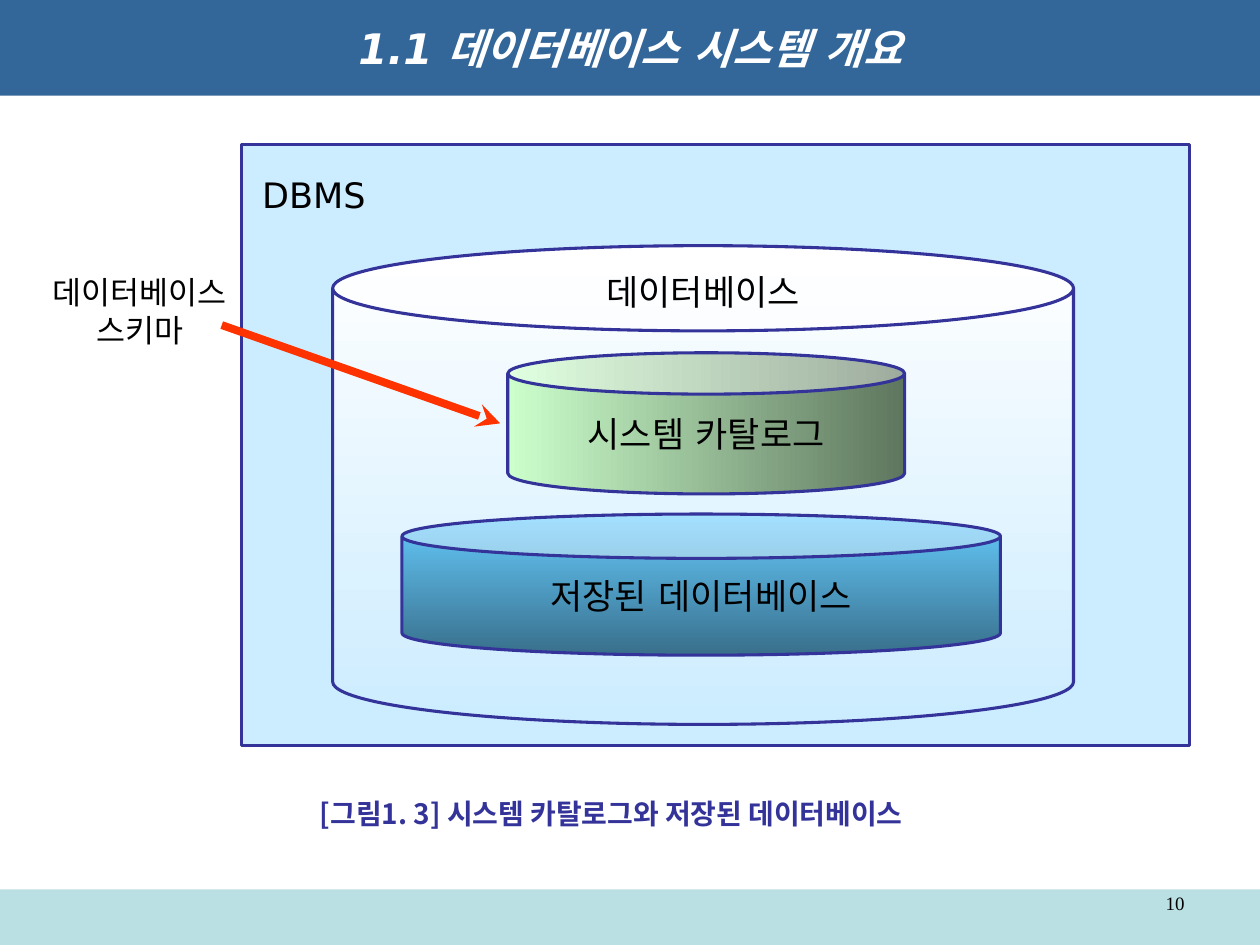
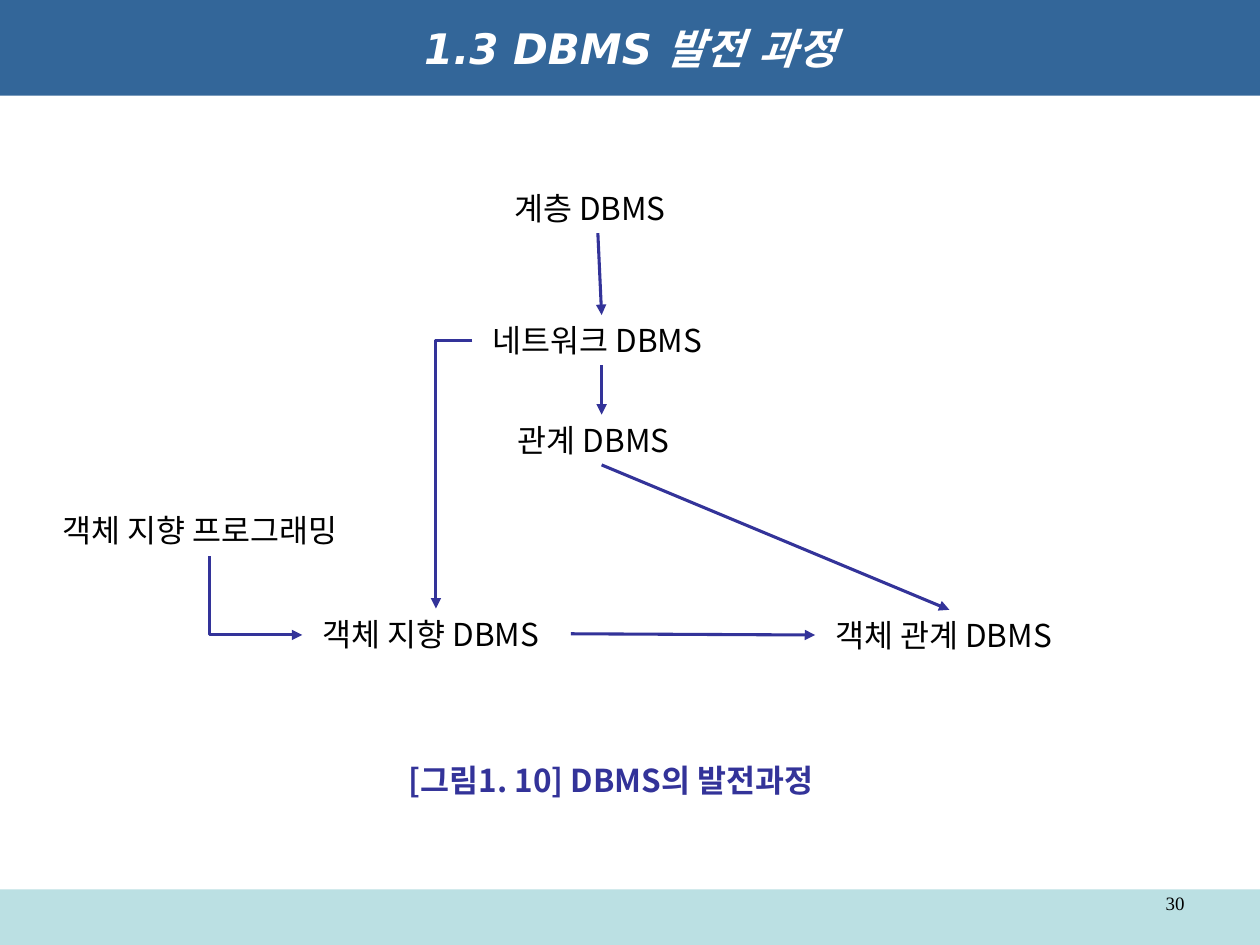
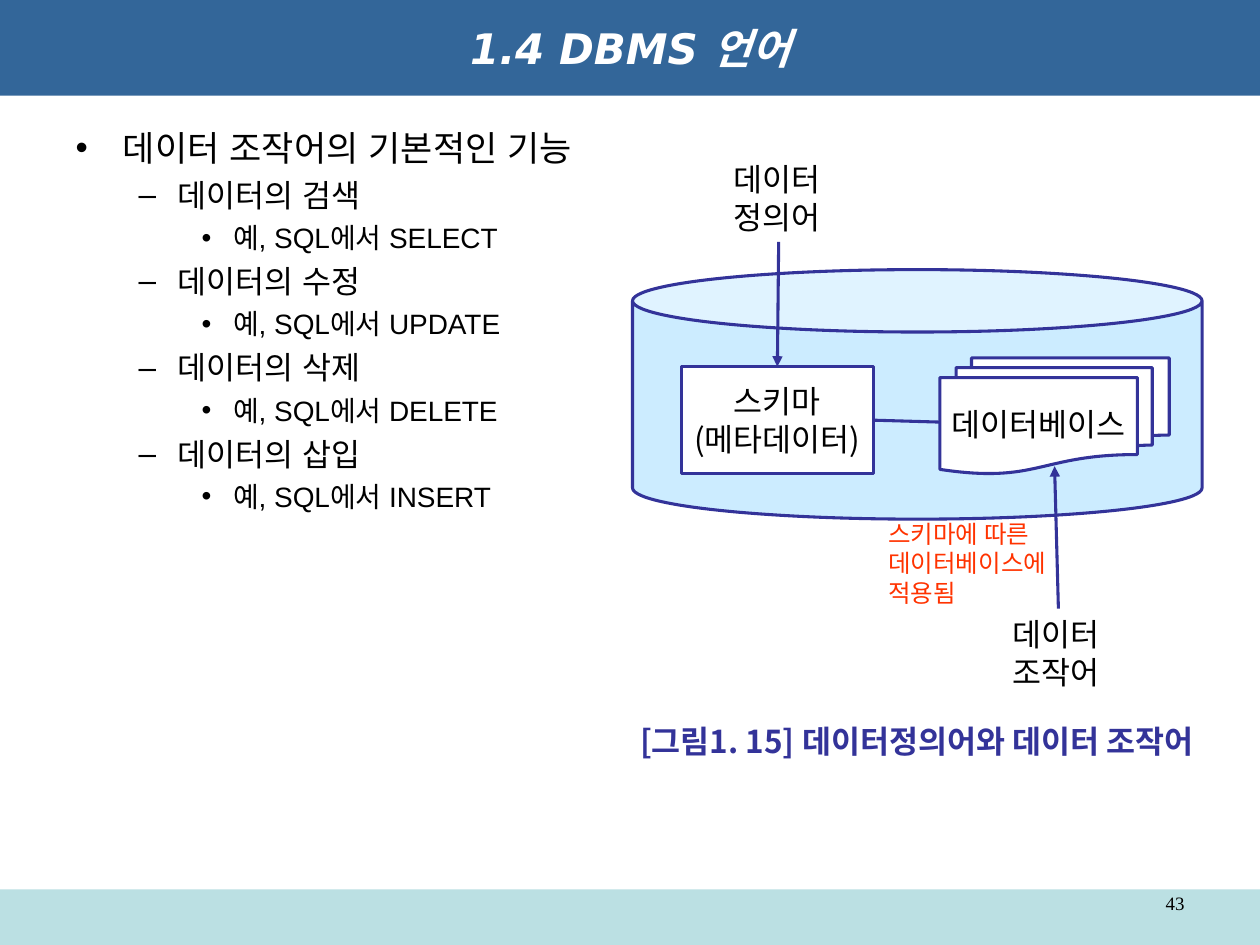
from lxml.etree import SubElement
from pptx import Presentation
from pptx.dml.color import RGBColor as Rgb
from pptx.enum.shapes import MSO_CONNECTOR as Link, MSO_SHAPE as Geo
from pptx.enum.text import MSO_ANCHOR as Anchor, MSO_AUTO_SIZE as Fit, PP_ALIGN as Align
from pptx.oxml.ns import qn
from pptx.util import Inches, Pt

HUES = {
    "text": "000000", "white": "FFFFFF", "title": "336699", "foot": "BBE0E3",
    "line": "333399", "pale": "CCECFF", "red": "FF3300",
    "mint": "CCFFCC", "moss": "5E765E", "sky": "66CCFF", "sea": "386F8B",
}
SANS, NOTO, BOLD = "DejaVu Sans", "Noto Sans CJK JP", "Noto Sans CJK KR"


def hue(name):
    return Rgb.from_string(HUES[name])


class Deck:
    """Holds the shared style and the current slide."""

    def __init__(self):
        self.prs = Presentation()
        self.prs.slide_width, self.prs.slide_height = Inches(10), Inches(7.5)
        self.slide = None

    def start(self, title, page, layout=5):
        first = self.slide is None
        self.slide = self.prs.slides.add_slide(self.prs.slide_layouts[layout])
        if first:
            self.foot()
        head = self.slide.shapes.title
        self.place(head, (0, 0, 10, 0.76))
        head.fill.solid()
        head.fill.fore_color.rgb = hue("title")
        frame = head.text_frame
        frame.auto_size, frame.vertical_anchor = Fit.NONE, Anchor.MIDDLE
        self.words(frame, [title], 24, SANS, "white", Align.CENTER, bold=True, italic=True)
        num = self.text((7.17, 7.06, 2.33, 0.29), [page], 10.8, "Times New Roman",
                        align=Align.RIGHT, pad=(0.1, 0.05), wrap=True)
        num.text_frame.paragraphs[0].line_spacing = 0.8

    def foot(self):
        """Put the bottom band on the slide master, behind everything."""
        band = self.shape(Geo.RECTANGLE, (0, 7.06, 10, 0.44), "foot", edge=False)
        band.element.nvSpPr.cNvPr.set("id", "20")
        self.prs.slide_master.shapes.element.insert(2, band.element)

    def place(self, shape, box):
        shape.left, shape.top, shape.width, shape.height = map(Inches, box)

    def style(self, run, size, font, color, bold=False, italic=False):
        face = run.font
        face.size, face.name, face.bold, face.italic = Pt(size), font, bold, italic
        face.color.rgb = hue(color)
        SubElement(face._element, qn("a:ea")).set("typeface", font)

    def words(self, frame, lines, size, font, color="text", align=Align.LEFT, **look):
        for i, line in enumerate(lines):
            para = frame.add_paragraph() if i else frame.paragraphs[0]
            para.alignment = align
            run = para.add_run()
            run.text = line
            self.style(run, size, font, color, **look)

    def inset(self, frame, pad, wrap):
        frame.margin_left = frame.margin_right = Inches(pad[0])
        frame.margin_top = frame.margin_bottom = Inches(pad[1])
        frame.word_wrap = wrap

    def text(self, box, lines, size=18, font=NOTO, color="text", align=Align.LEFT,
             pad=(0.16, 0.05), wrap=False, **look):
        item = self.slide.shapes.add_textbox(*map(Inches, box))
        self.inset(item.text_frame, pad, wrap)
        self.words(item.text_frame, lines, size, font, color, align, **look)
        return item

    def note(self, box, line, size=18, align=Align.CENTER):
        self.text(box, [line], size, BOLD, "line", align, (0.1, 0.05), True, bold=True)

    def shape(self, geo, box, fill, lines=(), size=18, font=NOTO, align=Align.CENTER,
              pad=(0.16, 0.05), anchor=Anchor.MIDDLE, wrap=False, edge=True, bend=None, turn=0):
        """A pair of fill names makes a gradient."""
        item = self.slide.shapes.add_shape(geo, *map(Inches, box))
        item.shadow.inherit = False
        if bend:
            item.adjustments[0] = bend
        if isinstance(fill, tuple):
            item.fill.gradient()
            item.fill.gradient_angle = turn
            for stop, name, pos in zip(item.fill.gradient_stops, fill, (0, 1)):
                stop.color.rgb, stop.position = hue(name), pos
        else:
            item.fill.solid()
            item.fill.fore_color.rgb = hue(fill)
        if edge:
            item.line.color.rgb, item.line.width = hue("line"), Pt(1.75)
        else:
            item.line.fill.background()
        self.inset(item.text_frame, pad, wrap)
        item.text_frame.vertical_anchor = anchor
        self.words(item.text_frame, lines, size, font, align=align)
        return item

    def link(self, start, end, color="line", width=1.75, head=None, tail="triangle", bent=False):
        """Each end is a point or a (shape, side) pair."""
        ends = [(0, 0) if hasattr(e[0], "text_frame") else e for e in (start, end)]
        kind = Link.ELBOW if bent else Link.STRAIGHT
        item = self.slide.shapes.add_connector(kind, *map(Inches, ends[0] + ends[1]))
        if ends[0] is not start:
            item.begin_connect(*start)
        if ends[1] is not end:
            item.end_connect(*end)
        item.line.color.rgb, item.line.width = hue(color), Pt(width)
        props = item.element.spPr
        if bent:
            props.find(qn("a:prstGeom")).set("prst", "bentConnector2")
        for tag, mark in (("a:headEnd", head), ("a:tailEnd", tail)):
            if mark:
                SubElement(props.find(qn("a:ln")), qn(tag)).set("type", mark)
        SubElement(props, qn("a:effectLst"))

    def points(self, box, items):
        """Items are (level, text) pairs."""
        body = self.slide.placeholders[1]
        self.place(body, box)
        frame = body.text_frame
        frame.auto_size = Fit.NONE
        for i, (level, line) in enumerate(items):
            para = frame.add_paragraph() if i else frame.paragraphs[0]
            size = (20, 18, 16)[level]
            para.level = level
            para.space_before = Pt(size / 4 if i else 0)
            run = para.add_run()
            run.text = line
            self.style(run, size, "Arial", "text")


def catalog(deck):
    deck.start("1.1 데이터베이스 시스템 개요", "10")
    deck.shape(Geo.RECTANGLE, (1.92, 1.15, 7.52, 4.77), "pale", ["DBMS"], 20, SANS,
               Align.LEFT, (0.16, 0.23), Anchor.TOP, True)
    # Nested stores
    deck.shape(Geo.CAN, (2.64, 1.95, 5.88, 3.8), ("white", "pale"), bend=0.178, turn=270)
    deck.text((2.64, 2.15, 5.88, 0.4), ["데이터베이스"], 20, SANS,
              align=Align.CENTER, pad=(0, 0), wrap=True)
    for box, fill, name, bend, turn in (
            ((4.03, 2.8, 3.15, 1.12), ("mint", "moss"), "시스템 카탈로그", 0.293, 0),
            ((3.19, 4.08, 4.75, 1.12), ("sky", "sea"), "저장된 데이터베이스", 0.314, 270)):
        deck.shape(Geo.CAN, box, fill, [name], 20, SANS, pad=(0.16, 0.16), bend=bend, turn=turn)
    # Schema pointer
    deck.text((0.23, 2.01, 1.76, 0.92), ["데이터베이스", "스키마"], 18, SANS,
              align=Align.CENTER, pad=(0.16, 0.16))
    deck.link((1.76, 2.58), (3.97, 3.36), "red", 4.5, tail="stealth")
    deck.note((2.44, 6.27, 5.6, 0.37), "[그림1. 3] 시스템 카탈로그와 저장된 데이터베이스",
              16, Align.JUSTIFY)


def history(deck):
    deck.start("1.3 DBMS 발전 과정", "30")
    # Generations
    tree, net, rel, prog, obj, mix = [
        deck.text((x, y, w, 0.4), [name]) for x, y, w, name in (
            (3.92, 1.45, 1.65, "계층 DBMS"),
            (3.75, 2.5, 2.05, "네트워크 DBMS"),
            (3.95, 3.29, 1.65, "관계 DBMS"),
            (0.34, 4.01, 2.64, "객체 지향 프로그래밍"),
            (2.4, 4.83, 2.13, "객체 지향 DBMS"),
            (6.47, 4.84, 2.13, "객체 관계 DBMS"))]
    deck.note((2.79, 5.99, 4.12, 0.4), "[그림1. 10] DBMS의 발전과정")
    # Descent
    for start, end in (((tree, 2), (net, 0)), ((net, 2), (rel, 0)),
                       ((rel, 2), (mix, 0)), ((obj, 3), (mix, 1))):
        deck.link(start, end)
    deck.link((3.75, 2.7), (3.46, 4.83), bent=True)
    deck.link((2.4, 5.04), (1.66, 4.41), head="triangle", tail=None, bent=True)


def language(deck):
    deck.start("1.4 DBMS 언어", "43", layout=1)
    items = [(0, "데이터 조작어의 기본적인 기능")]
    for act, word in (("검색", "SELECT"), ("수정", "UPDATE"),
                      ("삭제", "DELETE"), ("삽입", "INSERT")):
        items += [(1, f"데이터의 {act}"), (2, f"예, SQL에서 {word}")]
    deck.points((0.5, 0.95, 4.42, 5.95), items)
    # Store with its schema and data
    deck.shape(Geo.CAN, (5.02, 2.14, 4.52, 1.98), "pale", bend=0.25)
    meta = deck.shape(Geo.RECTANGLE, (5.41, 2.91, 1.52, 0.85), "white",
                      ["스키마", "(메타데이터)"])
    deck.shape(Geo.FLOWCHART_MULTIDOCUMENT, (7.46, 2.84, 1.82, 0.92), "white", ["데이터베이스"])
    deck.note((4.69, 5.68, 5.17, 0.4), "[그림1. 15] 데이터정의어와 데이터 조작어")
    # Languages and their targets
    define = deck.text((5.66, 1.22, 1.04, 0.7), ["데이터", "정의어"])
    handle = deck.text((7.88, 4.83, 1.04, 0.7), ["데이터", "조작어"])
    deck.text((6.89, 4.07, 1.63, 0.8), ["스키마에 따른", "데이터베이스에", "적용됨"],
              14, color="red")
    deck.link((define, 2), (meta, 0))
    deck.link((handle, 0), (8.37, 3.7))
    deck.link((meta, 3), (7.46, 3.35), tail=None)


def main():
    deck = Deck()
    for build in (catalog, history, language):
        build(deck)
    deck.prs.save("out.pptx")


if __name__ == "__main__":
    main()
